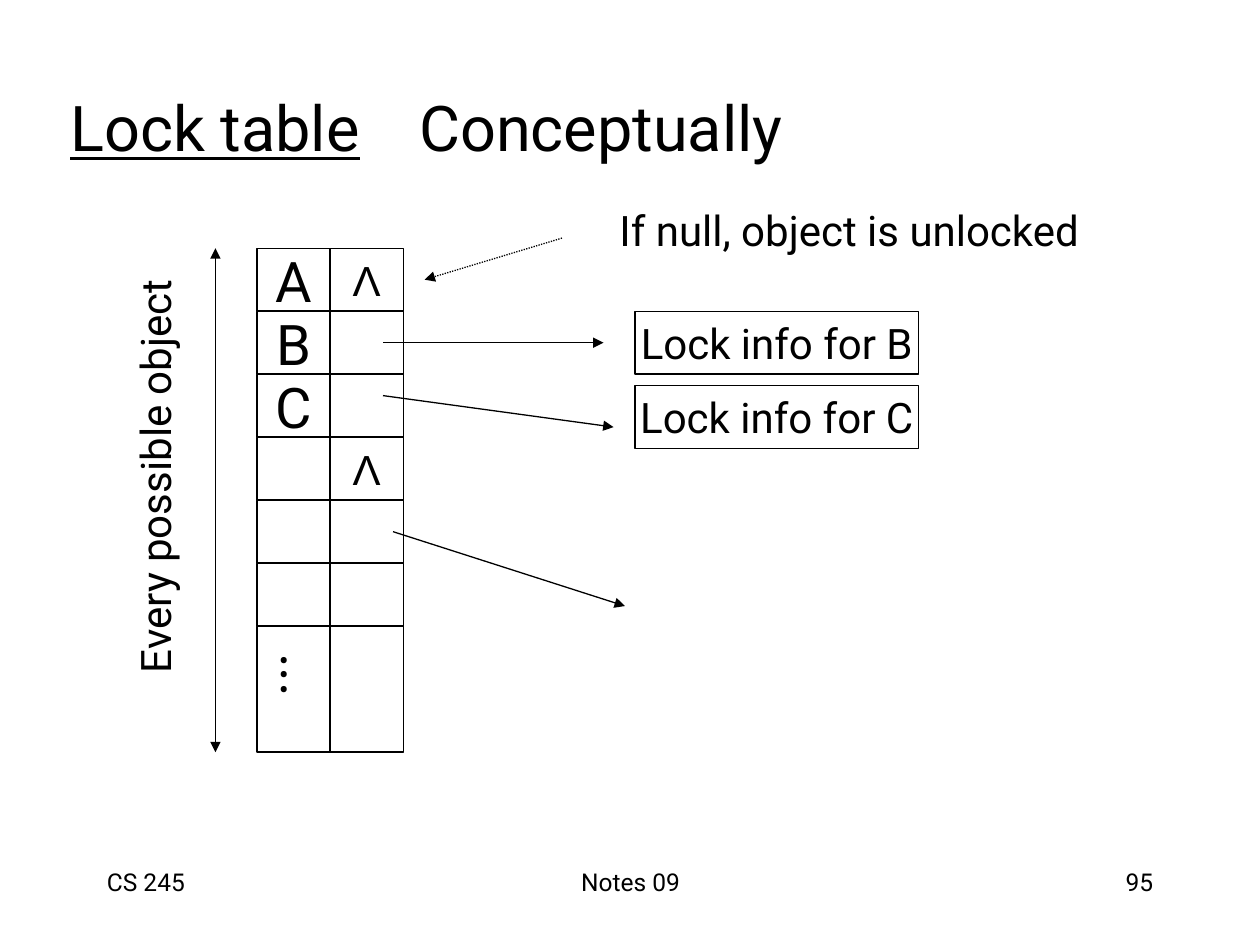
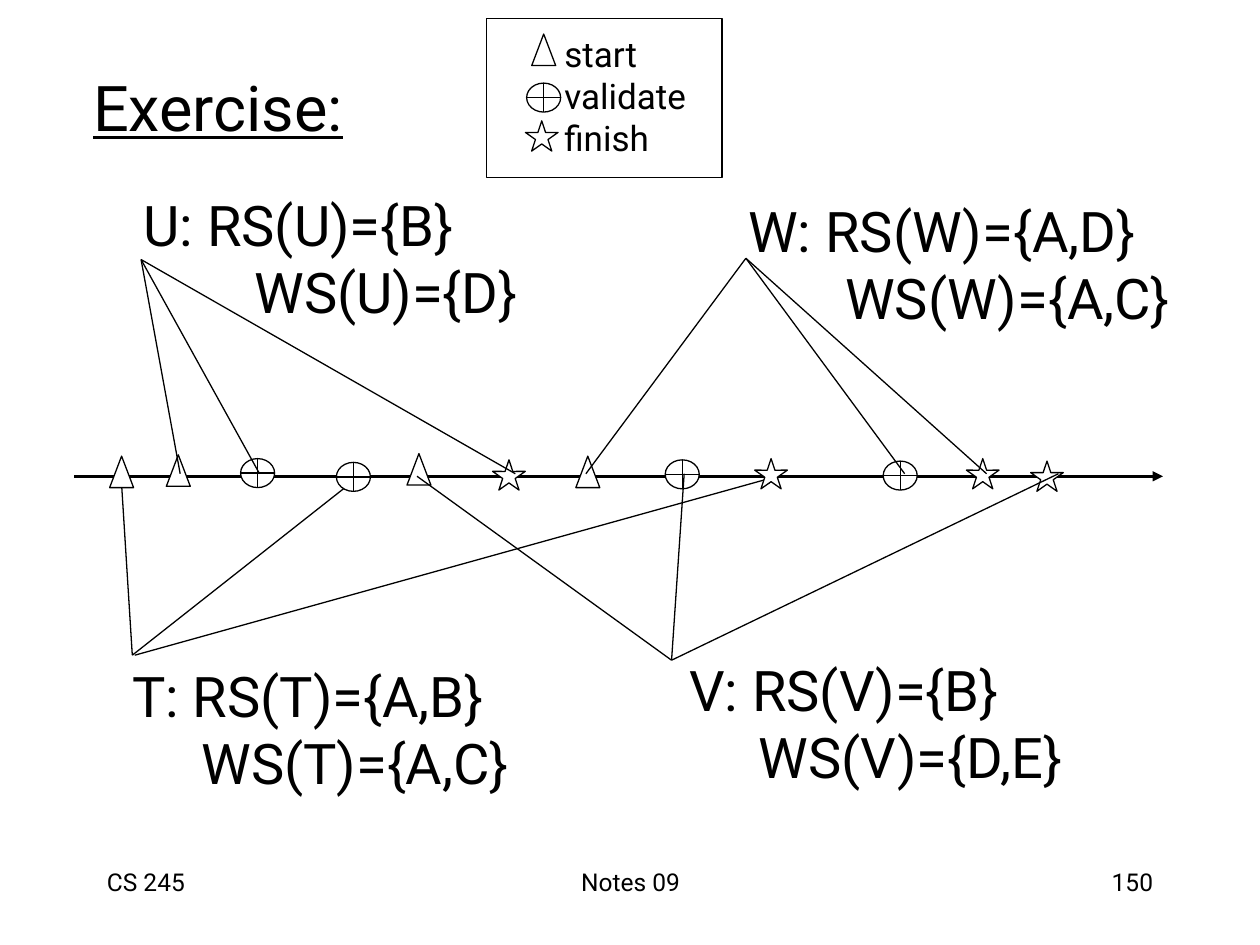
"""Build two lecture slides on lock tables and validation."""
import dataclasses

import lxml.etree
import pptx
import pptx.dml.color
import pptx.enum.dml
import pptx.enum.shapes
import pptx.enum.text
import pptx.oxml
import pptx.oxml.ns
import pptx.util

Inches = pptx.util.Inches
Pt = pptx.util.Pt
Form = pptx.enum.shapes.MSO_SHAPE
Align = pptx.enum.text.PP_ALIGN
Anchor = pptx.enum.text.MSO_ANCHOR
qn = pptx.oxml.ns.qn


@dataclasses.dataclass(frozen=True)
class Theme:
    ink: pptx.dml.color.RGBColor = pptx.dml.color.RGBColor(0, 0, 0)
    paper: pptx.dml.color.RGBColor = pptx.dml.color.RGBColor(255, 255, 255)
    font: str = "Roboto"
    sign: str = "Arial"
    title: int = 36
    large: int = 32
    body: int = 24
    key: int = 20
    foot: int = 14
    thin: float = 0.75
    thick: float = 1.5


theme = Theme()


def put(slide, text, box, form=None, size=theme.body, font=theme.font,
        align=Align.LEFT, anchor=Anchor.MIDDLE, under=False, turn=0,
        dent=0, tab=0, fill=True):
    area = [Inches(n) for n in box]
    if form is None:
        shape = slide.shapes.add_textbox(*area)
    else:
        shape = slide.shapes.add_shape(form, *area)
        shape.shadow.inherit = False
        shape.line.color.rgb = theme.ink
        shape.line.width = Pt(theme.thin)
        if fill:
            shape.fill.solid()
            shape.fill.fore_color.rgb = theme.paper
        else:
            shape.fill.background()
    shape.rotation = turn
    if not text:
        return
    frame = shape.text_frame
    frame.word_wrap = form is None
    frame.vertical_anchor = anchor
    for row, line in enumerate(text.split("\n")):
        para = frame.add_paragraph() if row else frame.paragraphs[0]
        para.alignment = align
        props = para._p.get_or_add_pPr()
        if row and dent:
            props.set("marL", str(Inches(dent)))
            props.set("indent", "0")
        if tab:
            stops = lxml.etree.SubElement(props, qn("a:tabLst"))
            lxml.etree.SubElement(stops, qn("a:tab"), pos=str(Inches(tab)), algn="l")
        head, gap, rest = line.partition("\t")
        for part, mark in ((head, under), (gap + rest, False)):
            if part:
                run = para.add_run()
                run.text = part
                run.font.name = font
                run.font.size = Pt(size)
                run.font.color.rgb = theme.ink
                run.font.underline = mark


def link(slide, start, end, width=theme.thin, arrow=True, dash=None):
    line = slide.shapes.add_connector(
        pptx.enum.shapes.MSO_CONNECTOR.STRAIGHT, *[Inches(n) for n in start + end])
    line.line.color.rgb = theme.ink
    line.line.width = Pt(width)
    if dash:
        line.line.dash_style = dash
    if arrow:
        lxml.etree.SubElement(line.line._get_or_add_ln(), qn("a:tailEnd"), type="triangle")
    lxml.etree.SubElement(line._element.spPr, qn("a:effectLst"))


deck = pptx.Presentation()
deck.slide_width = Inches(10)
deck.slide_height = Inches(7.5)

pages = []
for title, box, page in (
    ("Lock table\tConceptually", (0.46, 0.38, 8.5, 1.25), "95"),
    ("Exercise:", (0.64, 0.48, 8.5, 0.72), "150"),
):
    slide = deck.slides.add_slide(deck.slide_layouts[6])
    pages.append(slide)
    for text, left, width, align in (
        ("CS 245", 0.75, 2.08, Align.LEFT),
        ("Notes 09", 3.42, 3.17, Align.CENTER),
        (page, 7.17, 2.08, Align.RIGHT),
    ):
        put(slide, text, (left, 6.83, width, 0.5), size=theme.foot,
            align=align, anchor=Anchor.TOP)
    put(slide, title, box, size=theme.title, under=True, tab=2.77 if "\t" in title else 0)

locks, times = pages

cells = [("A", "Λ"), ("B", ""), ("C", ""), ("", "Λ"), ("", ""), ("", ""), ("", "")]
for row, (name, state) in enumerate(cells):
    top = 1.97 + 0.5 * row
    high = 1 if row == len(cells) - 1 else 0.5
    put(locks, name, (2.04, top, 0.58, high), Form.RECTANGLE,
        size=theme.large, align=Align.CENTER)
    put(locks, state, (2.62, top, 0.58, high), Form.RECTANGLE,
        font=theme.sign, align=Align.CENTER)
put(locks, "...", (2.11, 5.04, 0.61, 0.64), size=theme.large, align=Align.CENTER, turn=90)

for name, top in (("B", 2.47), ("C", 3.06)):
    put(locks, f"Lock info for {name}", (5.04, top, 2.25, 0.5),
        Form.RECTANGLE, align=Align.CENTER)
for start, end in (
    ((3.04, 2.72), (4.79, 2.72)),
    ((3.04, 3.14), (4.87, 3.39)),
    ((3.12, 4.22), (4.96, 4.81)),
    ((1.71, 3.56), (1.71, 1.97)),
    ((1.71, 3.56), (1.71, 5.97)),
):
    link(locks, start, end)
link(locks, (4.46, 1.89), (3.37, 2.22), dash=pptx.enum.dml.MSO_LINE.ROUND_DOT)
put(locks, "If null, object is unlocked", (4.7, 1.57, 4.08, 0.5), align=Align.CENTER)
put(locks, "Every possible object", (-0.51, 3.53, 3.47, 0.5), align=Align.CENTER, turn=270)

for name, reads, writes, left, top, width, dent in (
    ("T", "A,B", "A,C", 0.95, 5.2, 3.23, 0.55),
    ("V", "B", "D,E", 5.37, 5.15, 3.25, 0.55),
    ("U", "B", "D", 1.04, 1.46, 3.29, 0.88),
    ("W", "A,D", "A,C", 5.84, 1.51, 3.62, 0.77),
):
    put(times, f"{name}: RS({name})={{{reads}}}\nWS({name})={{{writes}}}",
        (left, top, width, 1.17), size=theme.large, dent=dent)

link(times, (0.59, 3.78), (9.23, 3.78), width=theme.thick)
for start, end in (
    ((1.05, 5.2), (0.96, 3.76)),
    ((1.05, 5.2), (2.84, 3.79)),
    ((1.07, 5.2), (6.17, 3.78)),
):
    link(times, start, end)

marks = (
    (Form.FLOWCHART_EXTRACT, 0.19, 0.25,
     ((4.22, 0.27), (0.87, 3.62), (1.32, 3.61), (3.23, 3.6), (4.57, 3.62))),
    (Form.FLOWCHART_OR, 0.27, 0.23,
     ((4.18, 0.66), (1.91, 3.64), (2.67, 3.67), (5.28, 3.65), (7.01, 3.66))),
    (Form.STAR_5_POINT, 0.26, 0.24,
     ((4.17, 0.96), (3.91, 3.65), (5.99, 3.64), (7.67, 3.64), (8.18, 3.66))),
)
for form, width, high, spots in marks:
    for left, top in spots:
        put(times, "", (left, top, width, high), form)

for start, ends in (
    ((1.12, 2.06), ((1.43, 3.76), (2.06, 3.76), (4.09, 3.76))),
    ((5.33, 5.24), ((3.31, 3.78), (5.43, 3.76), (8.4, 3.76))),
    ((5.92, 2.05), ((4.65, 3.76), (7.18, 3.76), (7.83, 3.76))),
):
    for end in ends:
        link(times, start, end, arrow=False)

put(times, "start\nvalidate\nfinish", (4.38, 0.21, 1.22, 1.1), size=theme.key)
put(times, "", (3.86, 0.15, 1.87, 1.26), Form.RECTANGLE, fill=False)

deck.save("out.pptx")
